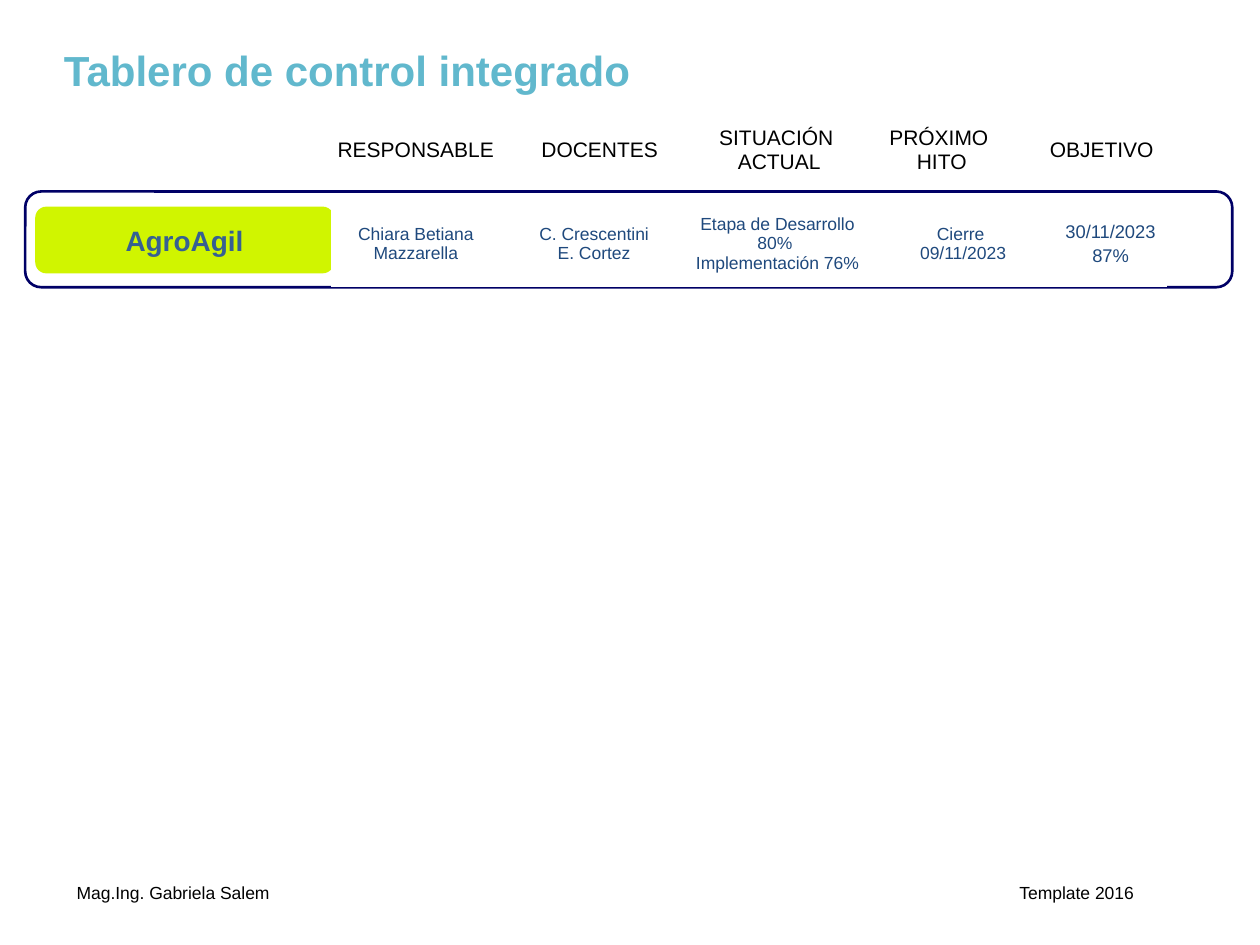
from dataclasses import dataclass

from lxml import etree
from pptx import Presentation
from pptx.dml.color import RGBColor
from pptx.enum.shapes import MSO_SHAPE
from pptx.enum.text import MSO_ANCHOR, PP_ALIGN
from pptx.oxml.ns import qn
from pptx.util import Inches, Pt

MIDDLE, TOP = MSO_ANCHOR.MIDDLE, MSO_ANCHOR.TOP
LEFT, CENTER = PP_ALIGN.LEFT, PP_ALIGN.CENTER
ROUNDED = MSO_SHAPE.FLOWCHART_ALTERNATE_PROCESS
FONT = "Arial"
PLAIN_TABLE = "{2D5ABB26-0587-4C30-8999-92F81FD0307C}"  # no style, no grid
TABLE_FRAME = 3.28


@dataclass
class Style:
    size: float
    color: str
    bold: bool = False
    align: PP_ALIGN = CENTER


@dataclass
class Column:
    width: float
    text: str


HEADER = Style(12, "000000")
BODY = Style(10, "1F497D")
TITLE = Style(24, "61B8CD", True, LEFT)
PROJECT = Style(16, "366092", True)
FOOTER = Style(10, "000000", align=LEFT)

# "\n" starts a paragraph, "\v" breaks a line
HEADINGS = [
    Column(1.46, "RESPONSABLE"),
    Column(1.46, "DOCENTES"),
    Column(1.39, "SITUACIÓN \nACTUAL"),
    Column(1.19, "PRÓXIMO \nHITO"),
    Column(1.35, "OBJETIVO"),
]
STATUS = [
    Column(1.34, "Chiara Betiana Mazzarella"),
    Column(1.49, "C. Crescentini\nE. Cortez"),
    Column(1.42, "Etapa de Desarrollo 80% \vImplementación 76%"),
    Column(1.49, "Cierre\v 09/11/2023"),
    Column(0.89, "30/11/2023\n87%"),
]


def rgb(color: str) -> RGBColor:
    return RGBColor.from_string(color)


def write(tf, text: str, style: Style) -> None:
    tf.word_wrap = True
    tf.text = text
    for p in tf.paragraphs:
        p.alignment = style.align
        p.font.name = FONT
        p.font.size = Pt(style.size)
        p.font.bold = style.bold
        p.font.color.rgb = rgb(style.color)


def add_text(s, box: tuple, text: str, style: Style, anchor: MSO_ANCHOR):
    tf = s.shapes.add_textbox(*map(Inches, box)).text_frame
    write(tf, text, style)
    tf.vertical_anchor = anchor
    return tf


def add_rounded(s, box: tuple):
    sp = s.shapes.add_shape(ROUNDED, *map(Inches, box))
    sp.shadow.inherit = False
    return sp


def add_row(s, left: float, top: float, height: float, columns: list[Column],
            style: Style, margin_x: float, margin_y: float):
    """Add a one-row table with white cells and no borders, and return it."""
    width = sum(c.width for c in columns)
    frame = s.shapes.add_table(1, len(columns), Inches(left), Inches(top),
                               Inches(width), Inches(height))
    table = frame.table
    table.first_row = table.horz_banding = False
    table._tbl.tblPr.find(qn("a:tableStyleId")).text = PLAIN_TABLE
    for i, column in enumerate(columns):
        table.columns[i].width = Inches(column.width)
        cell = table.cell(0, i)
        cell.fill.solid()
        cell.fill.fore_color.rgb = rgb("FFFFFF")
        cell.vertical_anchor = MIDDLE
        cell.margin_left = cell.margin_right = Inches(margin_x)
        cell.margin_top = cell.margin_bottom = Inches(margin_y)
        write(cell.text_frame, column.text, style)
    frame.width = frame.height = Inches(TABLE_FRAME)
    return table


def add_right_tab(p, position: float) -> None:
    pPr = p._p.get_or_add_pPr()
    tabs = etree.Element(qn("a:tabLst"))
    etree.SubElement(tabs, qn("a:tab"), pos=str(Inches(position)), algn="r")
    pPr.insert(0, tabs)


def main() -> None:
    prs = Presentation()
    prs.slide_width, prs.slide_height = Inches(10), Inches(7.5)
    s = prs.slides.add_slide(prs.slide_layouts[6])

    footer = add_text(s, (0.51, 6.95, 8.9, 0.34),
                      "Mag.Ing. Gabriela Salem\tTemplate 2016", FOOTER, TOP)
    add_right_tab(footer.paragraphs[0], 8.39)

    frame = add_rounded(s, (0.2, 1.52, 9.58, 0.76))
    frame.fill.background()
    frame.line.color.rgb = rgb("000066")
    frame.line.width = Pt(1.5)

    add_text(s, (0.41, 0.21, 9, 0.69), "Tablero de control integrado", TITLE, MIDDLE)
    add_row(s, 2.57, 0.94, 0.41, HEADINGS, HEADER, 0.1, 0.05)

    project = add_rounded(s, (0.28, 1.64, 2.37, 0.53))
    project.fill.solid()
    project.fill.fore_color.rgb = rgb("D0F500")
    project.line.fill.background()
    tf = project.text_frame
    tf.margin_left = tf.margin_right = Inches(0.05)
    tf.margin_top = tf.margin_bottom = Inches(0.04)
    tf.vertical_anchor = MIDDLE
    write(tf, "AgroAgil", PROJECT)

    status = add_row(s, 2.63, 1.59, 0.69, STATUS, BODY, 0, 0.04)
    goal = status.cell(0, len(STATUS) - 1).text_frame.paragraphs
    for p in goal:
        p.font.size = Pt(10.5)
    goal[1].space_before = Pt(2.1)

    prs.save("out.pptx")


if __name__ == "__main__":
    main()
